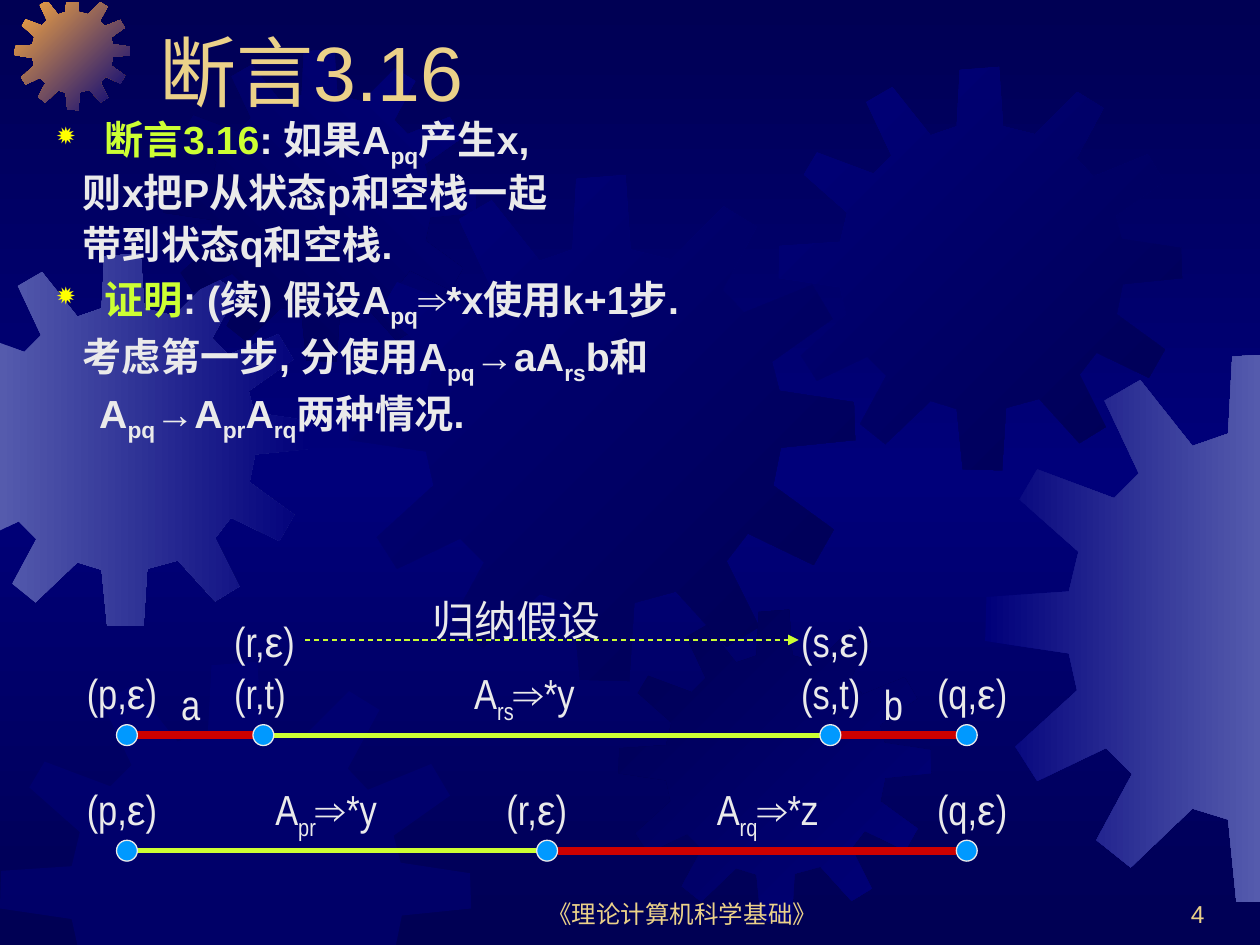
from copy import deepcopy
from dataclasses import dataclass
from itertools import groupby
from typing import NamedTuple

from lxml import etree
from pptx import Presentation, util as u
from pptx.dml.color import RGBColor
from pptx.enum import dml, shapes, text
from pptx.oxml.ns import qn

Cm, Pt = u.Cm, u.Pt
WIDE, HIGH = 25.4, 19.05
HUES = {
    "dark": "000054", "navy": "00007A", "steel": "555BAD", "amber": "FCAB40",
    "gold": "EBD189", "pale": "EAEAEA", "lime": "CCFF33", "red": "CC0000",
    "blue": "0099FF", "sun": "FFFF00",
}

# Outline of every gear, on a 401-unit square
COG = [
    (255, 67), (223, 59), (219, 0), (180, 3), (177, 59), (151, 68), (113, 20), (87, 35),
    (112, 88), (94, 106), (38, 85), (25, 107), (68, 145), (61, 174), (1, 178), (0, 210),
    (61, 219), (67, 246), (22, 287), (38, 312), (88, 288), (107, 307), (81, 355), (106, 375),
    (151, 332), (177, 340), (183, 400), (222, 401), (226, 339), (259, 330), (299, 374), (325, 358),
    (299, 306), (316, 284), (368, 309), (384, 281), (336, 246), (342, 216), (401, 210), (400, 180),
    (341, 171), (335, 148), (383, 114), (367, 87), (313, 109), (296, 91), (323, 41), (297, 25),
]
# Slide edges: axis, limit, side to keep
EDGES = [(0, 0, 1), (0, WIDE, -1), (1, 0.05, 1), (1, HIGH, -1)]


class Gear(NamedTuple):
    x: float
    y: float
    size: float
    hues: tuple[str, ...]
    angle: int = 0


class Label(NamedTuple):
    x: float
    y: float
    words: str
    wide: float = 2.34


@dataclass
class Para:
    words: str            # odd parts between bars are subscripts
    lead: str = ""        # highlighted start, marks a bulleted paragraph
    left: float = 0.97


@dataclass
class Track:
    y: float
    nodes: list[float]
    hues: list[str]


GEARS = [
    Gear(-1.27, 5.11, 7.52, ("steel", "navy")),
    Gear(0.3, -0.1, 2.32, ("amber", "navy"), 45),
    Gear(3.3, 0.99, 6.3, ("dark", "navy"), 315),
    Gear(7.04, 3.53, 10.2, ("navy", "dark"), 45),
    Gear(0, 13.34, 9.5, ("navy",)),
    Gear(12.47, 12.29, 6.3, ("dark", "navy"), 45),
    Gear(15.7, 1.35, 8.13, ("navy", "dark"), 45),
    Gear(19.86, 7.11, 11.1, ("navy", "steel")),
]
TRACKS = [
    Track(14.82, [2.56, 5.31, 16.74, 19.49], ["red", "lime", "red"]),
    Track(17.15, [2.56, 11.03, 19.49], ["lime", "red"]),
]
LABELS = [
    Label(3.4, 13.55, "a", 1.06), Label(17.57, 13.55, "b", 1.06),
    Label(9.31, 13.34, "A|rs|⇒*y", 2.97),
    Label(1.5, 13.34, "(p,ε)"), Label(4.47, 13.34, "(r,t)"),
    Label(15.9, 13.34, "(s,t)"), Label(18.64, 13.34, "(q,ε)"),
    Label(4.47, 12.28, "(r,ε)"), Label(15.9, 12.28, "(s,ε)"),
    Label(8.47, 11.85, "归纳假设", 4.45),
    Label(5.3, 15.67, "A|pr|⇒*y", 2.97), Label(14.2, 15.67, "A|rq|⇒*z", 2.97),
    Label(1.5, 15.67, "(p,ε)"), Label(9.96, 15.67, "(r,ε)"), Label(18.64, 15.67, "(q,ε)"),
]
BODY = [
    Para(": 如果A|pq|产生x,", "断言3.16"),
    Para("则x把P从状态p和空栈一起", left=0.53),
    Para("带到状态q和空栈.", left=0.53),
    Para(": (续) 假设A|pq|⇒*x使用k+1步.", "证明"),
    Para("考虑第一步, 分使用A|pq|→aA|rs|b和", left=0.53),
    Para("A|pq|→A|pr|A|rq|两种情况.", left=0.86),
]


def rgb(hue: str) -> RGBColor:
    return RGBColor.from_string(HUES[hue])


def blend(fill, hues: tuple[str, ...], angle: int) -> None:
    """Fill with evenly spaced gradient stops, angle clockwise."""
    fill.gradient()
    fill.gradient_angle = -angle % 360
    stops = fill.gradient_stops
    for _ in hues[2:]:
        stops[0]._gs.addnext(deepcopy(stops[0]._gs))
    for i, hue in enumerate(hues):
        stops[i].color.rgb = rgb(hue)
        stops[i].position = i / (len(hues) - 1)


def clip(pts: list) -> list:
    """Cut a polygon at the slide edges."""
    for axis, lim, side in EDGES:
        out = []
        for a, b in zip(pts, pts[1:] + pts[:1]):
            da, db = side * (a[axis] - lim), side * (b[axis] - lim)
            if da >= 0:
                out.append(a)
            if (da >= 0) != (db >= 0):
                t = da / (da - db)
                out.append(tuple(p + t * (q - p) for p, q in zip(a, b)))
        pts = out
    return pts


def cog(slide, gear: Gear) -> None:
    k = gear.size / 401
    pts = clip([(gear.x + k * x, gear.y + k * y) for x, y in COG])
    pts = [(Cm(x), Cm(y)) for x, y in pts]
    pen = slide.shapes.build_freeform(*pts[0])
    pen.add_line_segments(pts[1:], close=True)
    form = pen.convert_to_shape()
    form.shadow.inherit = False
    form.line.fill.background()
    if len(gear.hues) > 1:
        blend(form.fill, gear.hues, gear.angle)
    else:  # half transparent
        form.fill.solid()
        form.fill.fore_color.rgb = rgb(gear.hues[0])
        tint = form._element.spPr.find(".//" + qn("a:srgbClr"))
        etree.SubElement(tint, qn("a:alpha"), val="50000")


def bullet(para) -> None:
    props = para._p.get_or_add_pPr()
    tint = etree.SubElement(props, qn("a:buClr"))
    etree.SubElement(tint, qn("a:srgbClr"), val=HUES["sun"])
    etree.SubElement(props, qn("a:buSzPct"), val="80000")
    etree.SubElement(props, qn("a:buChar"), char="✹")


def write(slide, box: tuple, paras: list[Para], *, size: float, hue: str = "pale",
          font: str = "Arial", bold: bool = False, align=text.PP_ALIGN.LEFT,
          anchor=text.MSO_ANCHOR.TOP, before: float = 0, lines: float = 1.0,
          grow: bool = False, indent: bool = False) -> None:
    frame = slide.shapes.add_textbox(*map(Cm, box)).text_frame
    frame.word_wrap = True
    frame.vertical_anchor = anchor
    if grow:
        frame.auto_size = text.MSO_AUTO_SIZE.SHAPE_TO_FIT_TEXT
    for i, item in enumerate(paras):
        para = frame.add_paragraph() if i else frame.paragraphs[0]
        para.alignment, para.line_spacing, para.space_before = align, lines, Pt(before)
        if indent:
            props = para._p.get_or_add_pPr()
            props.set("marL", str(Cm(item.left)))
            props.set("indent", str(-Cm(item.left) if item.lead else 0))
        if item.lead:
            bullet(para)
        parts = [(item.lead, "lime", False)] if item.lead else []
        parts += [(s, hue, n % 2 == 1) for n, s in enumerate(item.words.split("|"))]
        for words, tone, low in parts:
            for sign, chars in groupby(words, lambda c: c in "ε⇒"):
                run = para.add_run()
                run.text = "".join(chars)
                run.font.name = "Arial" if sign else font
                run.font.size, run.font.bold = Pt(size), bold
                run.font.color.rgb = rgb(tone)
                if low:
                    run._r.get_or_add_rPr().set("baseline", "-25000")


def rule(slide, x1: float, x2: float, y: float, hue: str, width: float, arrow: bool = False) -> None:
    line = slide.shapes.add_connector(shapes.MSO_CONNECTOR.STRAIGHT, Cm(x1), Cm(y), Cm(x2), Cm(y))
    line.line.color.rgb, line.line.width = rgb(hue), Pt(width)
    if arrow:
        line.line.dash_style = dml.MSO_LINE.DASH
        etree.SubElement(line.line._get_or_add_ln(), qn("a:tailEnd"), type="triangle")
    etree.SubElement(line._element.spPr, qn("a:effectLst"))


def route(slide, track: Track, rad: float = 0.21) -> None:
    for a, b, hue in zip(track.nodes, track.nodes[1:], track.hues):
        rule(slide, a + rad, b - rad, track.y, hue, 4.5 if hue == "red" else 3)
    for x in track.nodes:
        dot = slide.shapes.add_shape(shapes.MSO_SHAPE.OVAL, Cm(x - rad), Cm(track.y - rad),
                                     Cm(2 * rad), Cm(2 * rad))
        dot.shadow.inherit = False
        dot.fill.solid()
        dot.fill.fore_color.rgb = rgb("blue")
        dot.line.color.rgb, dot.line.width = rgb("pale"), Pt(0.75)


def main() -> None:
    deck = Presentation()
    deck.slide_width, deck.slide_height = Cm(WIDE), Cm(HIGH)
    slide = deck.slides.add_slide(deck.slide_layouts[6])

    # Backdrop
    blend(slide.background.fill, ("dark", "navy", "dark"), 90)
    for gear in GEARS:
        cog(slide, gear)

    # Footer, page number and title
    low = text.MSO_ANCHOR.BOTTOM
    for box, words, size, align in [
        ((9.73, 17.58, 8.05, 1.27), "《理论计算机科学基础》", 14, text.PP_ALIGN.CENTER),
        ((19.25, 17.58, 5.28, 1.27), "4", 14, text.PP_ALIGN.RIGHT),
        ((2.97, 0, 21.59, 2.49), "断言3.16", 44, text.PP_ALIGN.LEFT),
    ]:
        write(slide, box, [Para(words)], size=size, hue="gold", align=align, anchor=low)

    # Diagrams of the two cases
    for track in TRACKS:
        route(slide, track)
    rule(slide, 6.15, 16.1, 12.9, "lime", 0.75, arrow=True)
    for tag in LABELS:
        write(slide, (tag.x, tag.y, tag.wide, 1.27), [Para(tag.words)], size=24,
              font="Arial Narrow", before=15, grow=True)

    # Claim and proof
    write(slide, (0.89, 2.31, 21.59, 8.05), BODY, size=22.4, bold=True,
          before=8, lines=0.8, indent=True)
    deck.save("out.pptx")


if __name__ == "__main__":
    main()
